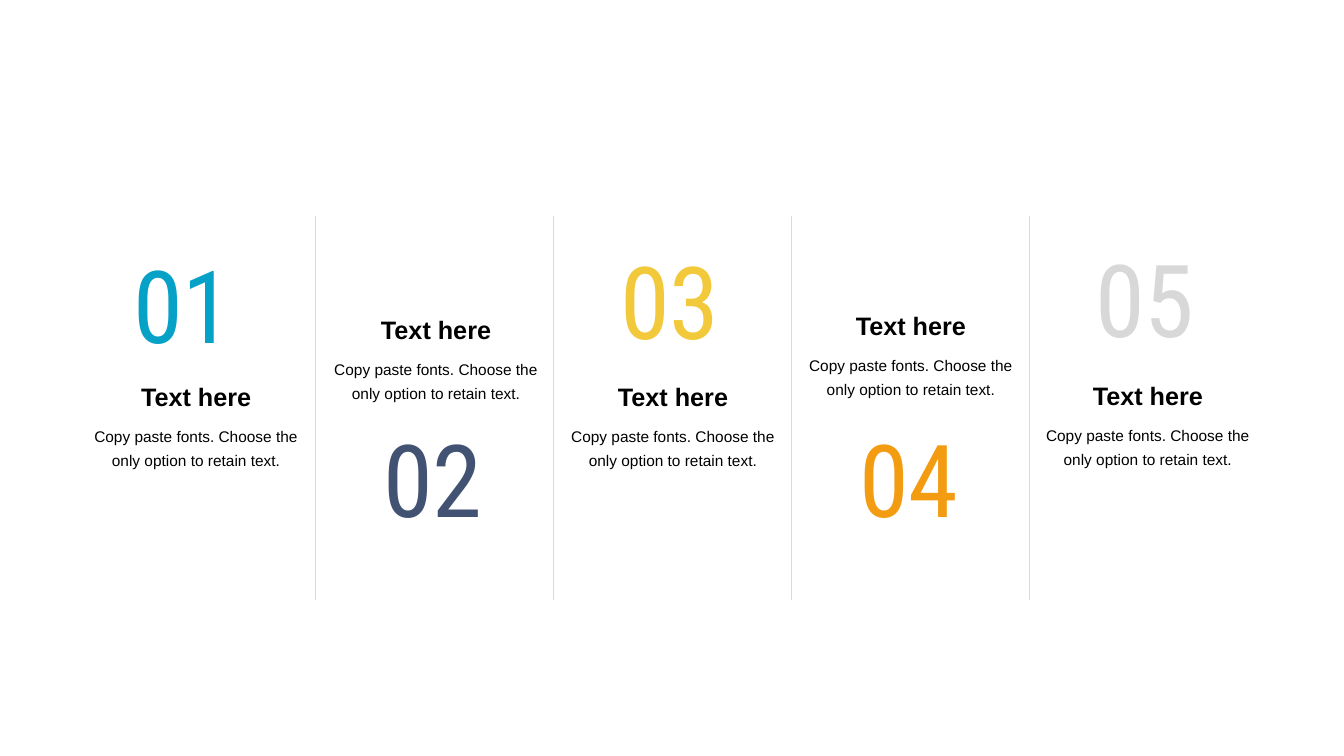
from dataclasses import dataclass

from lxml.etree import SubElement
from pptx import Presentation
from pptx.dml.color import RGBColor
from pptx.enum.shapes import MSO_CONNECTOR
from pptx.enum.text import MSO_ANCHOR, PP_ALIGN
from pptx.oxml.ns import qn
from pptx.slide import Slide
from pptx.util import Inches, Pt


@dataclass(frozen=True)
class TextStyle:
    font: str
    size: float
    bold: bool = False
    anchor: MSO_ANCHOR = MSO_ANCHOR.TOP
    wrap: bool = False
    line_spacing: float = 1.0
    margin_x: float = 0.1
    margin_y: float = 0.05


@dataclass(frozen=True)
class Theme:
    text: str = "000000"
    divider: str = "D9D9D9"
    divider_width: float = 0.25
    number: TextStyle = TextStyle(
        "Roboto Condensed", 72, anchor=MSO_ANCHOR.MIDDLE, margin_x=0, margin_y=0
    )
    heading: TextStyle = TextStyle("Arial", 18, bold=True, anchor=MSO_ANCHOR.BOTTOM)
    body: TextStyle = TextStyle("Arial", 11, wrap=True, line_spacing=1.3)


@dataclass(frozen=True)
class Box:
    left: float
    top: float
    width: float
    height: float


@dataclass(frozen=True)
class Column:
    number: str
    color: str
    number_left: float
    number_top: float
    text_left: float
    body_top: float
    heading: str = "Text here"
    body: str = "Copy paste fonts. Choose the only option to retain text."


THEME = Theme()
COLUMNS = (
    Column("01", "06A1C6", 0.95, 2.14, 0.79, 4.13),
    Column("02", "425272", 3.43, 3.87, 3.17, 3.47),
    Column("03", "F3C93C", 5.78, 2.1, 5.52, 4.13),
    Column("04", "F39C12", 8.15, 3.87, 7.88, 3.43),
    Column("05", "D8D8D8", 10.49, 2.08, 10.23, 4.12),
)
NUMBER_SIZE = 1.73
TEXT_WIDTH = 2.31
HEADING_HEIGHT = 0.42
BODY_HEIGHT = 0.61
DIVIDER_LEFT, DIVIDER_STEP = 3.13, 2.36
DIVIDER_TOP, DIVIDER_BOTTOM = 2.14, 5.95


def apply_format(target: object, values: dict[str, object]) -> None:
    for name, value in values.items():
        setattr(target, name, value)


def add_text(slide: Slide, box: Box, text: str, style: TextStyle, color: str) -> None:
    shape = slide.shapes.add_textbox(
        Inches(box.left), Inches(box.top), Inches(box.width), Inches(box.height)
    )
    frame = shape.text_frame
    apply_format(frame, {
        "word_wrap": style.wrap,
        "vertical_anchor": style.anchor,
        "margin_left": Inches(style.margin_x),
        "margin_right": Inches(style.margin_x),
        "margin_top": Inches(style.margin_y),
        "margin_bottom": Inches(style.margin_y),
    })
    paragraph = frame.paragraphs[0]
    apply_format(paragraph, {
        "alignment": PP_ALIGN.CENTER,
        "line_spacing": style.line_spacing,
    })
    run = paragraph.add_run()
    run.text = text
    apply_format(run.font, {
        "name": style.font,
        "size": Pt(style.size),
        "bold": style.bold,
    })
    run.font.color.rgb = RGBColor.from_string(color)


def add_divider(slide: Slide, left: float) -> None:
    connector = slide.shapes.add_connector(
        MSO_CONNECTOR.STRAIGHT,
        Inches(left), Inches(DIVIDER_TOP), Inches(left), Inches(DIVIDER_BOTTOM),
    )
    connector.line.width = Pt(THEME.divider_width)
    connector.line.color.rgb = RGBColor.from_string(THEME.divider)
    SubElement(connector._element.spPr, qn("a:effectLst"))


def add_column(slide: Slide, column: Column) -> None:
    number_box = Box(column.number_left, column.number_top, NUMBER_SIZE, NUMBER_SIZE)
    body_box = Box(column.text_left, column.body_top, TEXT_WIDTH, BODY_HEIGHT)
    heading_box = Box(
        column.text_left, column.body_top - HEADING_HEIGHT, TEXT_WIDTH, HEADING_HEIGHT
    )
    add_text(slide, number_box, column.number, THEME.number, column.color)
    add_text(slide, heading_box, column.heading, THEME.heading, THEME.text)
    add_text(slide, body_box, column.body, THEME.body, THEME.text)


def main() -> None:
    presentation = Presentation()
    apply_format(presentation, {
        "slide_width": Inches(13.33),
        "slide_height": Inches(7.5),
    })
    slide = presentation.slides.add_slide(presentation.slide_layouts[6])
    for index in range(len(COLUMNS) - 1):
        add_divider(slide, DIVIDER_LEFT + index * DIVIDER_STEP)
    for column in COLUMNS:
        add_column(slide, column)
    presentation.save("out.pptx")


if __name__ == "__main__":
    main()
